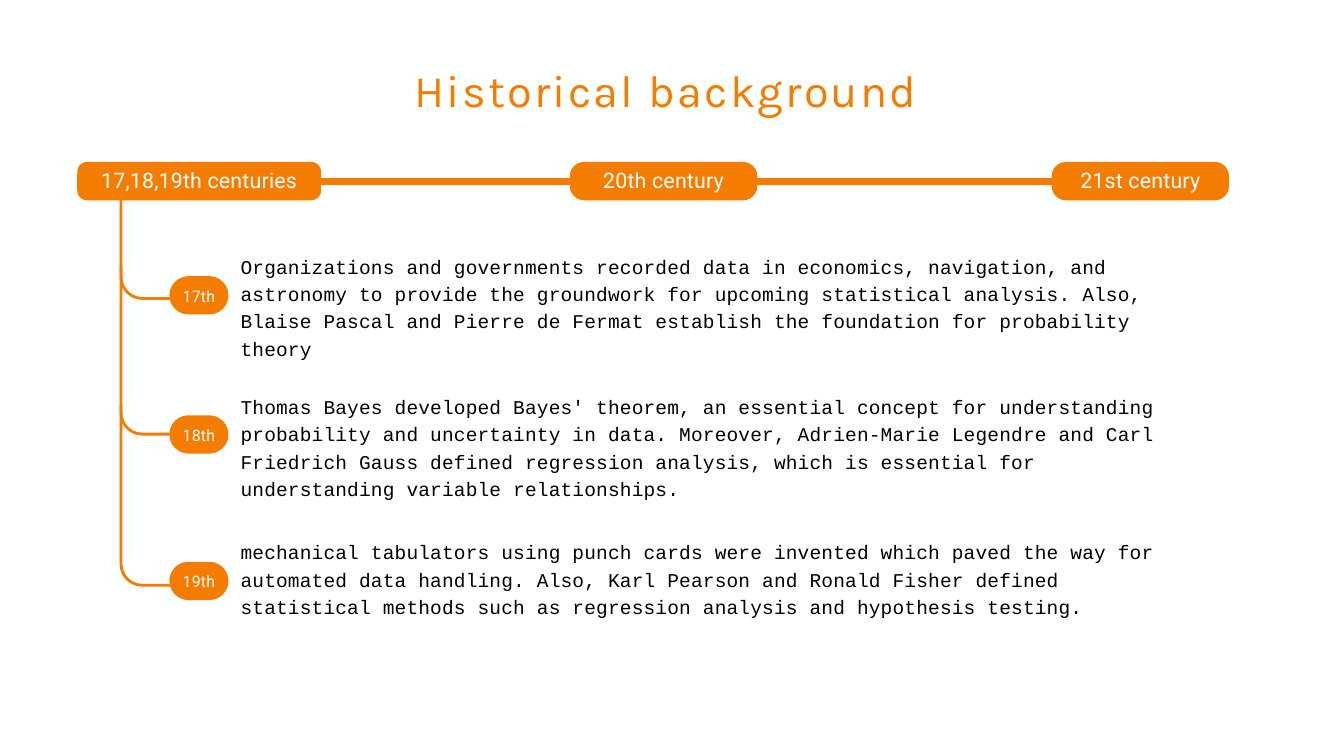
from lxml import etree
from pptx import Presentation
from pptx import util as u
from pptx.dml.color import RGBColor
from pptx.enum import shapes, text
from pptx.oxml.ns import qn

ORANGE = RGBColor(0xF4, 0x7C, 0x00)
WHITE = RGBColor(0xFF, 0xFF, 0xFF)
PAPER = RGBColor(0xFE, 0xFF, 0xFF)
BLACK = RGBColor(0x00, 0x00, 0x00)


class Deck:
    """Style and current slide; lengths are percentages of the slide's size."""

    def __init__(self, width, height):
        self.prs = Presentation()
        self.prs.slide_width = u.Inches(width)
        self.prs.slide_height = u.Inches(height)
        self.s = self.prs.slides.add_slide(self.prs.slide_layouts[6])
        self.s.background.fill.solid()
        self.s.background.fill.fore_color.rgb = PAPER

    def box(self, x, y, w, h):
        across, down = self.prs.slide_width / 100, self.prs.slide_height / 100
        return [round(v) for v in (x * across, y * down, w * across, h * down)]

    def fill_text(self, sp, words, font, size, color, leading, spacing=0.2,
                  align=text.PP_ALIGN.LEFT, anchor=text.MSO_ANCHOR.TOP, lift=0):
        tf = sp.text_frame
        tf.text = words
        tf.word_wrap = True
        tf.vertical_anchor = anchor
        tf.margin_left = tf.margin_right = tf.margin_top = 0
        tf.margin_bottom = u.Inches(lift)
        p = tf.paragraphs[0]
        p.alignment = align
        p.line_spacing = u.Pt(leading)
        r = p.runs[0]
        r.font.name, r.font.size = font, u.Pt(size)
        r.font.color.rgb = color
        r.font._element.set("spc", str(round(spacing * 100)))

    def label(self, box, words, **style):
        sp = self.s.shapes.add_textbox(*self.box(*box))
        self.fill_text(sp, words, **style)

    def pill(self, box, words, size, leading, rounding, lift):
        sp = self.s.shapes.add_shape(
            shapes.MSO_SHAPE.ROUNDED_RECTANGLE, *self.box(*box))
        sp.adjustments[0] = rounding
        sp.shadow.inherit = False
        sp.fill.solid()
        sp.fill.fore_color.rgb = ORANGE
        sp.line.fill.background()
        self.fill_text(sp, words, "Roboto", size, WHITE, leading, lift=lift,
                       align=text.PP_ALIGN.CENTER, anchor=text.MSO_ANCHOR.MIDDLE)
        return sp

    def link(self, left, right):
        c = self.s.shapes.add_connector(shapes.MSO_CONNECTOR.STRAIGHT, 0, 0, 0, 0)
        c.begin_connect(left, 3)
        c.end_connect(right, 1)
        c.line.color.rgb = ORANGE
        c.line.width = u.Pt(7.5)
        etree.SubElement(c._element.spPr, qn("a:effectLst"))

    def branch(self, box):
        """Bent arrow of no thickness: a line going down, then right."""
        sp = self.s.shapes.add_shape(shapes.MSO_SHAPE.BENT_ARROW, *self.box(*box))
        for i, value in enumerate((0.25, 0, 0.25, 0.44)):
            sp.adjustments[i] = value
        sp.rotation = 180
        sp._element.spPr.find(qn("a:xfrm")).set("flipH", "1")
        sp.shadow.inherit = False
        sp.fill.background()
        sp.line.color.rgb = ORANGE
        sp.line.width = u.Pt(3)


# Century, pill top, text top, branch top and bottom, text
CENTURIES = [
    ("17th", 36.53, 33.16, 25.16, 39.47,
     "Organizations and governments recorded data in economics, navigation, and "
     "astronomy to provide the groundwork for upcoming statistical analysis. Also, "
     "Blaise Pascal and Pierre de Fermat establish the foundation for probability "
     "theory"),
    ("18th", 54.93, 51.73, 35.2, 57.42,
     "Thomas Bayes developed Bayes' theorem, an essential concept for understanding "
     "probability and uncertainty in data. Moreover, Adrien-Marie Legendre and Carl "
     "Friedrich Gauss defined regression analysis, which is essential for "
     "understanding variable relationships."),
    ("19th", 74.31, 70.93, 53.69, 77.42,
     "mechanical tabulators using punch cards were invented which paved the way for "
     "automated data handling. Also, Karl Pearson and Ronald Fisher "
     "defined statistical methods such as regression analysis and hypothesis "
     "testing."),
]

# Timeline pills: left, width, rounding, text
ERAS = [
    (5.75, 18.15, 0.26, "17,18,19th centuries"),
    (42.4, 13.95, 0.37, "20th century"),
    (78.25, 13.2, 0.37, "21st century"),
]
PILL_H = 5.07


def main():
    deck = Deck(20, 11.25)

    # Title
    deck.label((29.5, 7.2, 40.1, 8.27), "Historical background", font="Karla",
               size=48.3, color=ORANGE, leading=66.7, spacing=2.4,
               align=text.PP_ALIGN.CENTER)

    # Timeline
    eras = [deck.pill((x, 21.42, w, PILL_H), words, 22.9, 32.1, rounding, 0.09)
            for x, w, rounding, words in ERAS]
    for left, right in zip(eras, eras[1:]):
        deck.link(left, right)

    # Centuries branching off the first era
    for name, pill_y, text_y, top, bottom, words in CENTURIES:
        deck.branch((9, top, 3.6, bottom - top))
        deck.pill((12.6, pill_y, 4.4, PILL_H), name, 17, 23.8, 0.5, 0.03)
        deck.label((17.9, text_y, 69.35, 11.02), words, font="Courier New",
                   size=20.9, color=BLACK, leading=29.3)

    deck.prs.save("out.pptx")


if __name__ == "__main__":
    main()
